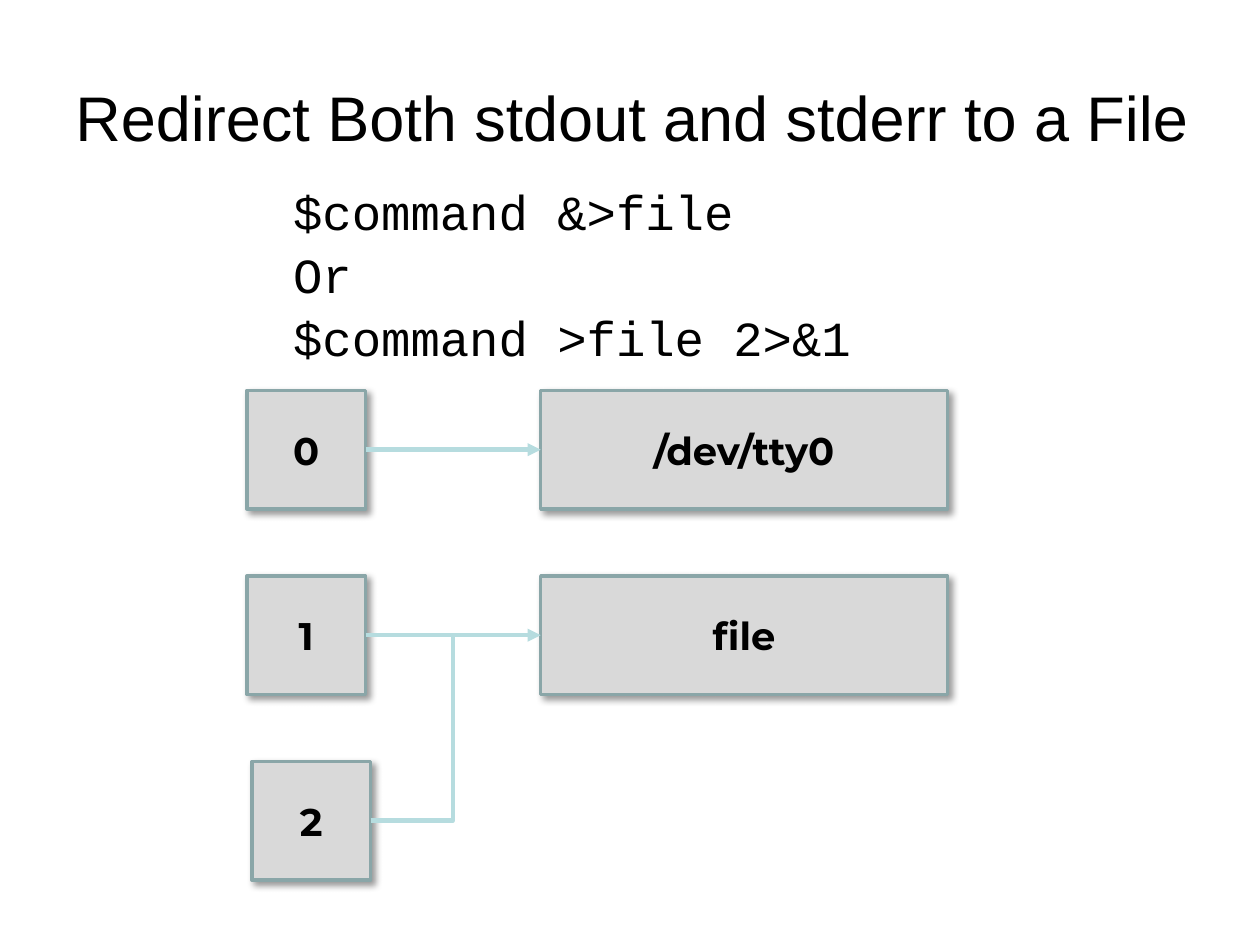
from lxml import etree
from pptx import Presentation
from pptx.dml.color import RGBColor
from pptx.enum.shapes import MSO_CONNECTOR, MSO_SHAPE
from pptx.enum.text import MSO_ANCHOR, PP_ALIGN
from pptx.oxml import parse_xml
from pptx.oxml.ns import nsdecls, qn
from pptx.util import Cm, Pt

COLOURS = {"text": "000000", "box": "D9D9D9", "border": "8AA6A8", "arrow": "B6DCDF"}
SHADOW = (
    f'<a:effectLst {nsdecls("a")}>'
    f'<a:outerShdw blurRad="{Pt(4)}" dist="{Pt(3)}" dir="2700000" algn="tl" rotWithShape="0">'
    '<a:srgbClr val="000000"><a:alpha val="40000"/></a:srgbClr>'
    "</a:outerShdw></a:effectLst>"
)


def colour(name):
    return RGBColor.from_string(COLOURS[name])


def write_text(shape, text, font, size, bold=False, align=PP_ALIGN.CENTER,
               anchor=MSO_ANCHOR.MIDDLE, spacing=None):
    frame = shape.text_frame
    frame.word_wrap = True
    frame.vertical_anchor = anchor
    frame.text = text
    for paragraph in frame.paragraphs:
        paragraph.alignment = align
        paragraph.line_spacing = spacing
        for run in paragraph.runs:
            run.font.name = font
            run.font.size = Pt(size)
            run.font.bold = bold
            run.font.color.rgb = colour("text")


presentation = Presentation()
presentation.slide_width, presentation.slide_height = Cm(25.4), Cm(19.05)
slide = presentation.slides.add_slide(presentation.slide_layouts[6])
shapes = slide.shapes

# Title and commands
title = shapes.add_textbox(Cm(0.58), Cm(0.76), Cm(24.33), Cm(3.18))
write_text(title, "Redirect Both stdout and stderr to a File", "Arial", 36)
commands = shapes.add_textbox(Cm(5.66), Cm(3.45), Cm(14.35), Cm(4.1))
write_text(commands, "$command &>file\vOr\n$command >file 2>&1", "Courier New", 28,
           align=PP_ALIGN.LEFT, anchor=MSO_ANCHOR.TOP, spacing=1.07)

# Descriptor and target boxes: row, left, width, label
BOX, TARGET_WIDTH = 2.39, 8.2
FIRST_TOP, ROW_STEP = 7.87, 3.74
LEFT, LAST_LEFT, TARGET_LEFT = 4.98, 5.08, 10.9
middles = [FIRST_TOP + row * ROW_STEP + BOX / 2 for row in range(3)]
boxes = [
    (0, LEFT, BOX, "0"),
    (0, TARGET_LEFT, TARGET_WIDTH, "/dev/tty0"),
    (1, LEFT, BOX, "1"),
    (1, TARGET_LEFT, TARGET_WIDTH, "file"),
    (2, LAST_LEFT, BOX, "2"),
]
for row, left, width, label in boxes:
    box = shapes.add_shape(MSO_SHAPE.RECTANGLE, Cm(left), Cm(middles[row] - BOX / 2),
                           Cm(width), Cm(BOX))
    box.shadow.inherit = False
    box.fill.solid()
    box.fill.fore_color.rgb = colour("box")
    box.line.color.rgb = colour("border")
    box.line.width = Pt(2)
    properties = box._element.spPr
    properties.replace(properties.find(qn("a:effectLst")), parse_xml(SHADOW))
    write_text(box, label, "Montserrat", 22, bold=True)

# Connectors: two arrows, and an elbow that joins the second one
JOIN = 9.13
connectors = [
    (MSO_CONNECTOR.STRAIGHT, LEFT + BOX, middles[0], TARGET_LEFT, middles[0]),
    (MSO_CONNECTOR.STRAIGHT, LEFT + BOX, middles[1], TARGET_LEFT, middles[1]),
    (MSO_CONNECTOR.ELBOW, LAST_LEFT + BOX, middles[2], JOIN, middles[1]),
]
for kind, *ends in connectors:
    connector = shapes.add_connector(kind, *[Cm(value) for value in ends])
    connector.line.color.rgb = colour("arrow")
    connector.line.width = Pt(2.5)
    properties = connector._element.spPr
    if kind == MSO_CONNECTOR.ELBOW:
        properties.find(qn("a:prstGeom")).set("prst", "bentConnector2")
    else:
        etree.SubElement(properties.find(qn("a:ln")), qn("a:tailEnd"), type="triangle")
    etree.SubElement(properties, qn("a:effectLst"))

presentation.save("out.pptx")
